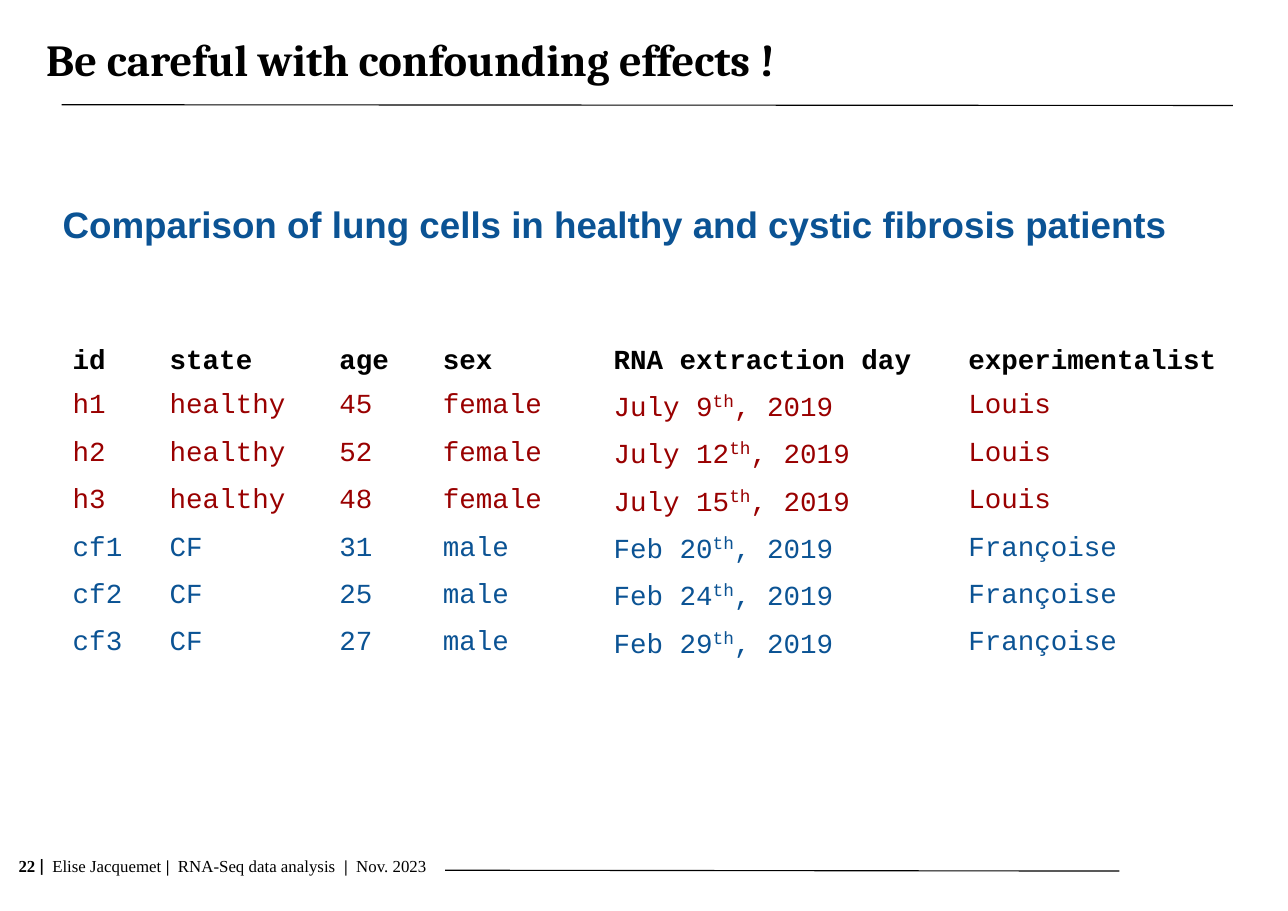
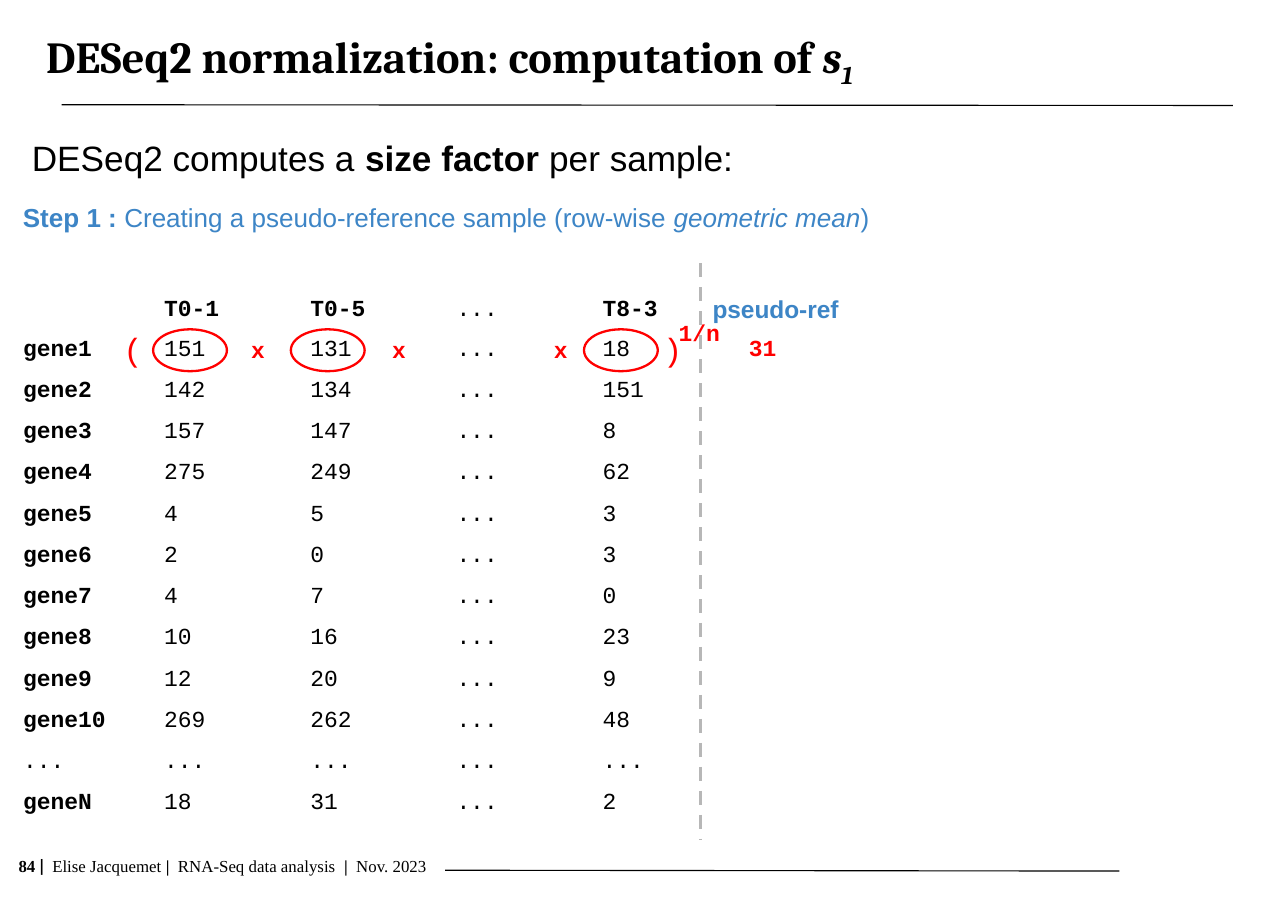
from dataclasses import dataclass, field
from typing import Any, Sequence

import pptx
import pptx.dml.color
import pptx.enum.dml
import pptx.enum.shapes
import pptx.enum.text
import pptx.oxml.ns
import pptx.util
from lxml import etree

WIDTH, HEIGHT = pptx.util.Inches(11.69), pptx.util.Inches(8.27)
COLORS = {
    "black": "000000", "white": "FFFFFF", "gray": "B7B7B7", "red": "FF0000",
    "healthy": "990000", "navy": "0B5394", "sky": "3D85C6",
}
Format = dict[str, Any]
TITLE: Format = {"size": 29, "name": "Cambria", "color": "black", "bold": True}
FOOTER: Format = {"size": 11, "name": "Times New Roman", "color": "black", "bold": False}
HEADING: Format = {"size": 24, "name": "Arial", "color": "navy", "bold": True}
LEAD: Format = {"size": 23, "name": "Arial", "color": "black"}
STEP: Format = {"size": 17, "name": "Arial", "color": "sky"}
SAMPLE: Format = {"size": 18, "name": "Courier New", "color": "black"}
COUNT: Format = {"size": 15, "name": "Courier New", "color": "black"}
FORMULA: Format = COUNT | {"color": "red", "bold": True}
BRACKET: Format = {"size": 21, "name": "Courier New", "color": "red"}
PSEUDO_REF: Format = {"size": 16, "name": "Arial", "color": "sky", "bold": True}
BOLD: Format = {"bold": True}

MIDDLE = pptx.enum.text.MSO_ANCHOR.MIDDLE
TOP = pptx.enum.text.MSO_ANCHOR.TOP
LEFT = pptx.enum.text.PP_ALIGN.LEFT
CENTER = pptx.enum.text.PP_ALIGN.CENTER


@dataclass(frozen=True)
class Box:
    """A place on the slide, in percent of its width and height."""
    x: float
    y: float
    w: float
    h: float

    def emu(self) -> tuple[int, int, int, int]:
        return across(self.x), down(self.y), across(self.w), down(self.h)


@dataclass(frozen=True)
class Run:
    """Text with what differs from the base format; baseline in percent."""
    text: str
    fmt: Format = field(default_factory=dict)
    baseline: int = 0


@dataclass(frozen=True)
class Label:
    box: Box
    runs: Sequence[Run]
    fmt: Format
    inset: float = 0.1
    anchor: Any = TOP
    align: Any = LEFT
    spacing: float = 1.0


@dataclass(frozen=True)
class Grid:
    x: float
    y: float
    cols: Sequence[float]
    rows: Sequence[float]
    fmt: Format
    inset: float


def across(percent: float) -> int:
    return round(WIDTH * percent / 100)


def down(percent: float) -> int:
    return round(HEIGHT * percent / 100)


def rgb(name: str) -> pptx.dml.color.RGBColor:
    return pptx.dml.color.RGBColor.from_string(COLORS[name])


def add_runs(p: Any, runs: Sequence[Run], base: Format) -> None:
    for run in runs:
        r = p.add_run()
        r.text = run.text
        for key, value in (base | run.fmt).items():
            if key == "color":
                r.font.color.rgb = rgb(value)
            else:
                setattr(r.font, key, pptx.util.Pt(value) if key == "size" else value)
        if run.baseline:
            r.font._element.set("baseline", str(run.baseline * 1000))


def fill_text(sp: Any, label: Label) -> None:
    tf = sp.text_frame
    inset = pptx.util.Inches(label.inset)
    settings = {
        "word_wrap": True, "auto_size": pptx.enum.text.MSO_AUTO_SIZE.NONE,
        "vertical_anchor": label.anchor, "margin_left": inset, "margin_right": inset,
        "margin_top": inset, "margin_bottom": inset,
    }
    for key, value in settings.items():
        setattr(tf, key, value)
    p = tf.paragraphs[0]
    p.alignment = label.align
    p.line_spacing = label.spacing
    add_runs(p, label.runs, label.fmt)


def add_label(s: Any, label: Label) -> None:
    fill_text(s.shapes.add_textbox(*label.box.emu()), label)


def add_line(s: Any, start: tuple[float, float], end: tuple[float, float],
             color: str = "black", width: float = 0.75, dash: Any = None) -> None:
    line = s.shapes.add_connector(
        pptx.enum.shapes.MSO_CONNECTOR.STRAIGHT,
        across(start[0]), down(start[1]), across(end[0]), down(end[1]))
    line.line.color.rgb = rgb(color)
    line.line.width = pptx.util.Pt(width)
    if dash is not None:
        line.line.dash_style = dash
    etree.SubElement(line._element.spPr, pptx.oxml.ns.qn("a:effectLst"))


def add_ring(s: Any, box: Box) -> None:
    sp = s.shapes.add_shape(pptx.enum.shapes.MSO_SHAPE.OVAL, *box.emu())
    sp.shadow.inherit = False
    sp.fill.background()
    sp.line.color.rgb = rgb("red")
    sp.line.width = pptx.util.Pt(1.5)


def add_grid(s: Any, grid: Grid, cells: Sequence[Sequence[Sequence[Run]]]) -> None:
    box = Box(grid.x, grid.y, sum(grid.cols), sum(grid.rows))
    table = s.shapes.add_table(len(grid.rows), len(grid.cols), *box.emu()).table
    table.first_row = table.horz_banding = False
    for col, width in zip(table.columns, grid.cols):
        col.width = across(width)
    for row, height, row_cells in zip(table.rows, grid.rows, cells):
        row.height = down(height)
        for cell, runs in zip(row.cells, row_cells):
            cell.fill.solid()
            cell.fill.fore_color.rgb = rgb("white")
            cell.margin_left = cell.margin_right = pptx.util.Inches(0.1)
            cell.margin_top = cell.margin_bottom = pptx.util.Inches(grid.inset)
            add_runs(cell.text_frame.paragraphs[0], runs, grid.fmt)


def add_slide(prs: Any, number: int, title: Sequence[Run]) -> Any:
    """Add a slide with its title, both rules and the footer."""
    s = prs.slides.add_slide(prs.slide_layouts.get_by_name("Title Only"))
    box = Box(3.59, 0.12, 92.9, 12.7)
    sp = s.shapes.title
    sp.left, sp.top, sp.width, sp.height = box.emu()
    fill_text(sp, Label(box, title, TITLE, inset=0, anchor=MIDDLE))
    add_line(s, (4.79, 11.5), (95.72, 11.58))
    add_line(s, (34.56, 95.53), (86.91, 95.62))
    add_label(s, Label(Box(0.6, 93.35, 38.5, 3.5), [
        Run(f"{number} ", BOLD), Run("|  ", {"name": "Lato", "bold": True}),
        Run("Elise Jacquemet "), Run("| ", BOLD), Run(" RNA-Seq data analysis  "),
        Run("| ", BOLD), Run(" Nov. 2023"),
    ], FOOTER, inset=0.05))
    # The footer text keeps a wider inset at its sides than at its top.
    s.shapes[-1].text_frame.margin_left = pptx.util.Inches(0.1)
    return s


def confounding_slide(prs: Any) -> None:
    s = add_slide(prs, 22, [Run("Be careful with confounding effects !")])
    header = ["id", "state", "age", "sex", "RNA extraction day", "experimentalist"]
    groups = [
        ("h", "healthy", "female", "Louis", "healthy",
         [(45, "July 9"), (52, "July 12"), (48, "July 15")]),
        ("cf", "CF", "male", "Françoise", "navy",
         [(31, "Feb 20"), (25, "Feb 24"), (27, "Feb 29")]),
    ]
    cells = [[[Run(text, BOLD)] for text in header]]
    for prefix, state, sex, person, color, patients in groups:
        fmt = {"color": color}
        for i, (age, day) in enumerate(patients, 1):
            row = [[Run(text, fmt)] for text in (f"{prefix}{i}", state, str(age), sex)]
            date = [Run(day, fmt), Run("th", fmt | {"size": 20}, 30), Run(", 2019", fmt)]
            cells.append(row + [date, [Run(person, fmt)]])
    grid = Grid(4.79, 37.48, [7.53, 13.17, 8.04, 13.26, 27.54, 22.41],
                [4.84] + [5.2] * 6, SAMPLE, 0.05)
    add_grid(s, grid, cells)
    add_label(s, Label(
        Box(4.02, 21.5, 88.2, 5.1),
        [Run("Comparison of lung cells in healthy and cystic ﬁbrosis patients")],
        HEADING, anchor=MIDDLE, spacing=1.22))


def normalization_slide(prs: Any) -> None:
    s = add_slide(prs, 84, [
        Run("DESeq2 normalization: computation of "),
        Run("s", {"italic": True}), Run("1", {"italic": True}, -25)])
    counts = [
        ("gene1", "151", "131", "18"), ("gene2", "142", "134", "151"),
        ("gene3", "157", "147", "8"), ("gene4", "275", "249", "62"),
        ("gene5", "4", "5", "3"), ("gene6", "2", "0", "3"),
        ("gene7", "4", "7", "0"), ("gene8", "10", "16", "23"),
        ("gene9", "12", "20", "9"), ("gene10", "269", "262", "48"),
        ("...", "...", "...", "..."), ("geneN", "18", "31", "2"),
    ]
    dots = [Run("...")]
    cells = [[[], [Run("T0-1", BOLD)], [Run("T0-5", BOLD)], dots, [Run("T8-3", BOLD)], [], []]]
    for gene, first, second, last in counts:
        name = Run(gene, {"bold": gene != "..."})
        cells.append([[name], [Run(first)], [Run(second)], dots, [Run(last)], [], []])
    cells[1][5] = [Run("31", FORMULA)]
    grid = Grid(0.94, 32.65, [10.95] + [11.35] * 6, [4.35] + [4.53] * 11 + [3.51], COUNT, 0)
    add_grid(s, grid, cells)
    add_line(s, (54.41, 28.9), (54.41, 92.14), "gray", 2.25,
             pptx.enum.dml.MSO_LINE.DASH)

    for x in (11.89, 22.58, 45.34):
        add_ring(s, Box(x, 36.15, 5.73, 4.6))
    labels = [
        Label(Box(1.63, 13.78, 59.4, 7.1), [
            Run("DESeq2 computes a "), Run("size factor", BOLD), Run(" per sample:")], LEAD),
        Label(Box(0.94, 20.92, 97.5, 5.9), [
            Run("Step 1 :", BOLD), Run(" Creating a pseudo-reference sample (row-wise "),
            Run("geometric mean", {"italic": True}), Run(")")], STEP),
        *(Label(Box(x, 35.67, 3.9, 5.4), [Run("x")], FORMULA) for x in (18.65, 29.6, 42.17)),
        *(Label(Box(x, 34.95, 3.5, 6.8), [Run(mark)], BRACKET)
          for x, mark in ((8.73, "("), (50.64, ")"))),
        Label(Box(51.84, 33.74, 6, 5.4), [Run("1/n")], FORMULA),
        Label(Box(53.29, 29.5, 13.86, 8.7), [Run("pseudo-ref")], PSEUDO_REF,
              anchor=MIDDLE, align=CENTER),
    ]
    for label in labels:
        add_label(s, label)


def main() -> None:
    prs = pptx.Presentation()
    prs.slide_width, prs.slide_height = WIDTH, HEIGHT
    confounding_slide(prs)
    normalization_slide(prs)
    prs.save("out.pptx")


if __name__ == "__main__":
    main()
